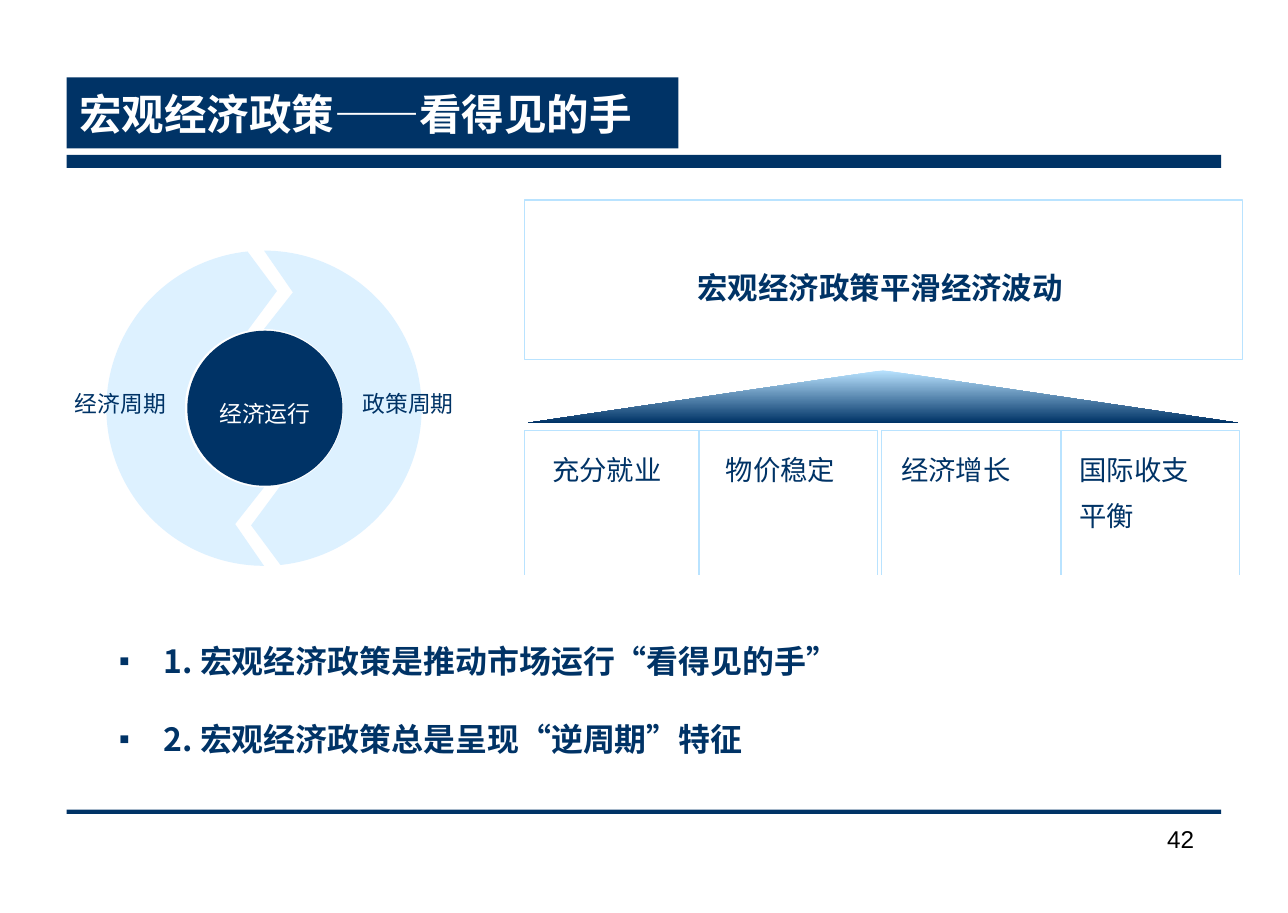
from dataclasses import dataclass
from itertools import groupby
from math import cos, radians, sin

from lxml.etree import SubElement
from pptx import Presentation
from pptx.dml.color import RGBColor
from pptx.enum.shapes import MSO_SHAPE
from pptx.enum.text import MSO_ANCHOR, PP_ALIGN
from pptx.oxml.ns import qn
from pptx.shapes.autoshape import Shape
from pptx.slide import Slide
from pptx.text.text import _Run
from pptx.util import Cm, Pt


@dataclass(frozen=True)
class Theme:
    navy: RGBColor = RGBColor(0x00, 0x33, 0x66)
    sky: RGBColor = RGBColor(0xB9, 0xE3, 0xFF)
    pale: RGBColor = RGBColor(0xDD, 0xF1, 0xFF)
    white: RGBColor = RGBColor(0xFF, 0xFF, 0xFF)
    black: RGBColor = RGBColor(0x00, 0x00, 0x00)
    cjk: str = "Noto Sans CJK SC"
    latin: str = "Arial"
    quotes: str = "Times New Roman"
    title: int = 28
    bullet: int = 21
    policy: int = 20
    goal: int = 18
    page: int = 16
    cycle: int = 15


THEME = Theme()


@dataclass(frozen=True)
class Box:
    left: float
    top: float
    width: float
    height: float


@dataclass(frozen=True)
class TextStyle:
    size: int
    color: RGBColor
    font: str = THEME.cjk
    bold: bool = False
    align: PP_ALIGN = PP_ALIGN.LEFT
    anchor: MSO_ANCHOR = MSO_ANCHOR.TOP
    wrap: bool = True
    line_spacing: float = 1.4
    side_inset: float = 0.25
    end_inset: float = 0.13


@dataclass(frozen=True)
class Goal:
    name: str
    label_left: float
    left: float
    right: float


Point = tuple[float, float]
GOALS = [
    Goal("充分就业", 12.57, 12.18, 18.36),
    Goal("物价稳定", 16.6, 16.23, 20.37),
    Goal("经济增长", 20.67, 20.47, 26.64),
    Goal("国际收支平衡", 24.81, 24.63, 28.78),
]
GOAL_TOP, GOAL_BOTTOM = 10, 13.35
CYCLE_CENTER = (6.13, 9.48)
OUTER_RADIUS, INNER_RADIUS, HUB_RADIUS = 3.66, 1.84, 1.8
BULLETS = [
    "1. 宏观经济政策是推动市场运行“看得见的手”",
    "2. 宏观经济政策总是呈现“逆周期”特征",
]


def style_run(run: _Run, style: TextStyle, font: str) -> None:
    run.font.name = font
    run.font.size = Pt(style.size)
    run.font.bold = style.bold
    run.font.color.rgb = style.color
    SubElement(run.font._element, qn("a:ea")).set("typeface", THEME.cjk)


def set_frame(shape: Shape, style: TextStyle) -> None:
    frame = shape.text_frame
    frame.word_wrap = style.wrap
    frame.vertical_anchor = style.anchor
    frame.margin_left = frame.margin_right = Cm(style.side_inset)
    frame.margin_top = frame.margin_bottom = Cm(style.end_inset)


def write(shape: Shape, text: str, style: TextStyle) -> None:
    set_frame(shape, style)
    paragraph = shape.text_frame.paragraphs[0]
    paragraph.text = text
    paragraph.alignment = style.align
    paragraph.line_spacing = style.line_spacing
    style_run(paragraph.runs[0], style, style.font)


def add_text(slide: Slide, box: Box, text: str, style: TextStyle) -> None:
    shape = slide.shapes.add_textbox(Cm(box.left), Cm(box.top), Cm(box.width), Cm(box.height))
    write(shape, text, style)


def paint(shape: Shape, fill: RGBColor, line: RGBColor | None = None) -> None:
    shape.shadow.inherit = False
    shape.fill.solid()
    shape.fill.fore_color.rgb = fill
    if line is None:
        shape.line.fill.background()
    else:
        shape.line.color.rgb = line
        shape.line.width = Pt(1)


def add_block(slide: Slide, kind: MSO_SHAPE, box: Box, fill: RGBColor,
              line: RGBColor | None = None) -> Shape:
    shape = slide.shapes.add_shape(kind, Cm(box.left), Cm(box.top), Cm(box.width), Cm(box.height))
    paint(shape, fill, line)
    return shape


def add_outline(slide: Slide, points: list[Point], fill: RGBColor,
                line: RGBColor | None = None, close: bool = True) -> Shape:
    start, *rest = [(Cm(x), Cm(y)) for x, y in points]
    builder = slide.shapes.build_freeform(*start)
    builder.add_line_segments(rest, close=close)
    shape = builder.convert_to_shape()
    paint(shape, fill, line)
    return shape


def arc(radius: float, first: int, last: int) -> list[Point]:
    """Offsets from the centre, clockwise from the top."""
    step = 2 if last > first else -2
    return [(radius * sin(radians(angle)), -radius * cos(radians(angle)))
            for angle in range(first, last + step, step)]


def cycle_style(color: RGBColor) -> TextStyle:
    return TextStyle(THEME.cycle, color, align=PP_ALIGN.CENTER,
                     anchor=MSO_ANCHOR.MIDDLE, wrap=False)


def add_cycle(slide: Slide) -> None:
    x, y = CYCLE_CENTER
    hub = add_block(slide, MSO_SHAPE.OVAL, Box(x - HUB_RADIUS + 0.02, y - HUB_RADIUS,
                                               2 * HUB_RADIUS, 2 * HUB_RADIUS), THEME.navy)
    write(hub, "经济运行", cycle_style(THEME.white))
    # The second half is the first one turned by 180 degrees
    half = [*arc(INNER_RADIUS, 0, 168), (-0.3, 2.72), *arc(OUTER_RADIUS, 174, 0), (0.67, -2.69)]
    for turn in (1, -1):
        add_outline(slide, [(x + turn * dx, y + turn * dy) for dx, dy in half], THEME.pale)
    for text, left in (("经济周期", 1.45), ("政策周期", 8.13)):
        add_text(slide, Box(left, 8.48, 2.69, 1.52), text, cycle_style(THEME.navy))


def add_goals(slide: Slide) -> None:
    # Roof
    roof = add_outline(slide, [(12.25, 9.82), (20.5, 8.6), (28.75, 9.82)], THEME.navy)
    roof.fill.gradient()
    roof.fill.gradient_angle = 270
    for stop, color in zip(roof.fill.gradient_stops, (THEME.sky, THEME.navy)):
        stop.color.rgb = color
    # Policy statement
    policy = add_block(slide, MSO_SHAPE.RECTANGLE, Box(12.18, 4.64, 16.67, 3.71),
                       THEME.white, THEME.sky)
    write(policy, "宏观经济政策平滑经济波动 ",
          TextStyle(THEME.policy, THEME.navy, bold=True, align=PP_ALIGN.CENTER,
                    anchor=MSO_ANCHOR.MIDDLE, wrap=False))
    # Columns, open at the bottom
    for goal in GOALS:
        add_outline(slide, [(goal.right, GOAL_BOTTOM), (goal.right, GOAL_TOP),
                            (goal.left, GOAL_TOP), (goal.left, GOAL_BOTTOM)],
                    THEME.white, THEME.sky, close=False)
    for goal in GOALS:
        add_text(slide, Box(goal.label_left, 10.08, 3.23, 2.4), goal.name,
                 TextStyle(THEME.goal, THEME.navy))


def add_bullets(slide: Slide) -> None:
    style = TextStyle(THEME.bullet, THEME.navy, bold=True, side_inset=0.29, end_inset=0.14)
    shape = slide.shapes.add_textbox(Cm(2.26), Cm(14.58), Cm(25), Cm(3.18))
    set_frame(shape, style)
    frame = shape.text_frame
    for index, text in enumerate(BULLETS):
        paragraph = frame.add_paragraph() if index else frame.paragraphs[0]
        paragraph.line_spacing = 1.2
        if index:
            paragraph.space_before = Pt(21)
        properties = paragraph._p.get_or_add_pPr()
        properties.set("marL", str(Cm(1.25)))
        properties.set("indent", str(-Cm(1.02)))
        color = SubElement(properties, qn("a:buClr"))
        SubElement(color, qn("a:srgbClr")).set("val", str(THEME.navy))
        for tag, name, value in (("a:buSzPct", "val", "50000"),
                                 ("a:buFont", "typeface", THEME.latin),
                                 ("a:buChar", "char", "■")):
            SubElement(properties, qn(tag)).set(name, value)
        for quoted, letters in groupby(text, key=lambda letter: letter in "“”"):
            run = paragraph.add_run()
            run.text = "".join(letters)
            style_run(run, style, THEME.quotes if quoted else THEME.cjk)


def main() -> None:
    presentation = Presentation()
    presentation.slide_width = Cm(29.9)
    presentation.slide_height = Cm(21.2)
    slide = presentation.slides.add_slide(presentation.slide_layouts[6])
    # Rules, title and page number
    for top, height in ((3.6, 0.3), (18.8, 0.1)):
        add_block(slide, MSO_SHAPE.RECTANGLE, Box(1.55, top, 26.8, height), THEME.navy)
    title = add_block(slide, MSO_SHAPE.RECTANGLE, Box(1.55, 1.8, 14.2, 1.65), THEME.navy)
    write(title, "宏观经济政策——看得见的手",
          TextStyle(THEME.title, THEME.white, THEME.latin, bold=True, anchor=MSO_ANCHOR.MIDDLE,
                    line_spacing=1.0, side_inset=0.29))
    add_text(slide, Box(25.75, 19, 2.26, 1.47), "42",
             TextStyle(THEME.page, THEME.black, THEME.latin, align=PP_ALIGN.RIGHT,
                       line_spacing=1.0, side_inset=0.29))
    # Body
    add_goals(slide)
    add_cycle(slide)
    add_bullets(slide)
    presentation.save("out.pptx")


if __name__ == "__main__":
    main()
